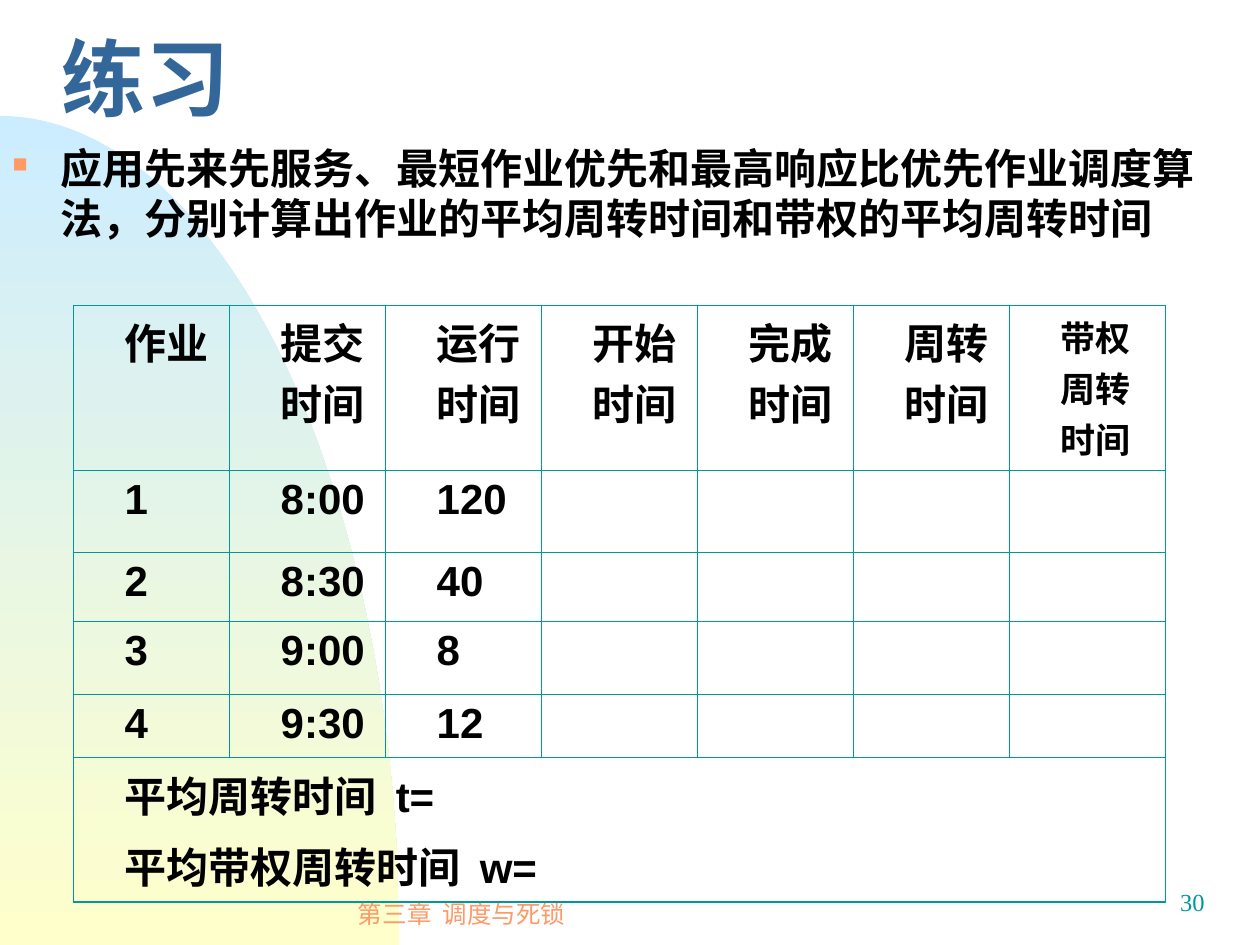
import math

from lxml import etree
from pptx import Presentation
from pptx import util as u
from pptx.dml.color import RGBColor
from pptx.enum import text
from pptx.oxml import ns

COLORS = {"sky": "CCECFF", "cream": "FFFFCC", "title": "336699",
          "accent": "FF9966", "teal": "009999", "ink": "000000"}
WIDTH, HEIGHT = u.Inches(10), u.Inches(7.5)
HEADERS = ["作业", "提交时间", "运行时间", "开始时间", "完成时间", "周转时间", "带权周转时间"]
JOBS = [["1", "8:00", "120"], ["2", "8:30", "40"], ["3", "9:00", "8"], ["4", "9:30", "12"]]
AVERAGES = ["平均周转时间  t=", "平均带权周转时间  w="]
ROW_HEIGHTS = [1.31, 0.65, 0.55, 0.58, 0.5, 1.15]
THIN, THICK = 0.45, 1.08


def rgb(name):
    """Return the named palette colour."""
    return RGBColor.from_string(COLORS[name])


def inches(box):
    """Convert a box of left, top, width and height to lengths."""
    return [u.Inches(value) for value in box]


def set_font(para, size, color, name="Arial", bold=False):
    """Set the font of a whole paragraph."""
    font = para.font
    font.size, font.name, font.bold = u.Pt(size), name, bold
    font.color.rgb = rgb(color)


def add_text(page, box, words, anchor=text.MSO_ANCHOR.TOP, align=text.PP_ALIGN.LEFT, wrap=True):
    """Add a text box with one paragraph and return the paragraph."""
    frame = page.shapes.add_textbox(*inches(box)).text_frame
    frame.word_wrap, frame.vertical_anchor = wrap, anchor
    para = frame.paragraphs[0]
    para.text, para.alignment = words, align
    return para


def add_backdrop(page, box, steps=90):
    """Draw a quarter ellipse with a vertical gradient in the box."""
    left, top, width, height = inches(box)
    angles = [math.pi / 2 * step / steps for step in range(steps + 1)]
    arc = [(left + width * math.sin(a), top + height * (1 - math.cos(a))) for a in angles]
    builder = page.shapes.build_freeform(left, top + height)
    builder.add_line_segments(arc, close=True)
    quarter = builder.convert_to_shape()
    quarter.shadow.inherit = False
    quarter.line.fill.background()
    quarter.fill.gradient()
    quarter.fill.gradient_angle = 270
    for stop, position, color in zip(quarter.fill.gradient_stops, (0, 1), ("sky", "cream")):
        stop.position, stop.color.rgb = position, rgb(color)


def add_title(page, box):
    """Place the slide title."""
    para = add_text(page, box, "练习", text.MSO_ANCHOR.MIDDLE)
    para.line_spacing = 0.7
    set_font(para, 48, "title", "Arial Narrow", True)


def add_task(page, box):
    """Place the bulleted exercise statement."""
    para = add_text(page, box, "应用先来先服务、最短作业优先和最高响应比优先作业调度算法，"
                               "分别计算出作业的平均周转时间和带权的平均周转时间")
    props = para._p.get_or_add_pPr()
    indent = u.Inches(0.38)
    props.set("marL", str(indent))
    props.set("indent", str(-indent))
    color = etree.SubElement(props, ns.qn("a:buClr"))
    etree.SubElement(color, ns.qn("a:srgbClr"), val=COLORS["accent"])
    etree.SubElement(props, ns.qn("a:buSzPct"), val="50000")
    etree.SubElement(props, ns.qn("a:buChar"), char="■")
    set_font(para, 24, "ink", bold=True)


def add_footer(page, box, number_box):
    """Place the chapter name and the page number."""
    chapter = add_text(page, box, "第三章  调度与死锁", text.MSO_ANCHOR.MIDDLE,
                       text.PP_ALIGN.CENTER, False)
    set_font(chapter, 14, "accent")
    number = add_text(page, number_box, "30", align=text.PP_ALIGN.RIGHT)
    set_font(number, 14, "teal", "Times New Roman")


def set_borders(cell, bottom):
    """Draw thin borders around a cell, with the given bottom width."""
    props = cell._tc.get_or_add_tcPr()
    for side, width in zip(("lnL", "lnR", "lnT", "lnB"), (THIN, THIN, THIN, bottom)):
        line = etree.SubElement(props, ns.qn(f"a:{side}"), w=str(u.Pt(width)))
        fill = etree.SubElement(line, ns.qn("a:solidFill"))
        etree.SubElement(fill, ns.qn("a:srgbClr"), val=COLORS["teal"])


def fill_cell(cell, lines, size=24):
    """Write indented bold lines into a cell."""
    cell.text = "\n".join(lines)
    for para in cell.text_frame.paragraphs:
        para._p.get_or_add_pPr().set("marL", str(u.Inches(0.31)))
        para.space_before = u.Pt(size / 4)
        set_font(para, size, "ink", bold=True)


def add_schedule(page, box):
    """Place the job table with its merged row of averages."""
    rows, cols = len(ROW_HEIGHTS), len(HEADERS)
    table = page.shapes.add_table(rows, cols, *inches(box)).table
    table.first_row = table.horz_banding = False
    for row, height in zip(table.rows, ROW_HEIGHTS):
        row.height = u.Inches(height)
    for r in range(rows):
        for c in range(cols):
            cell = table.cell(r, c)
            set_borders(cell, THICK if r == rows - 1 else THIN)
            cell.fill.background()
    last = table.cell(rows - 1, 0)
    last.merge(table.cell(rows - 1, cols - 1))
    fill_cell(last, AVERAGES)
    for r, values in enumerate([HEADERS] + JOBS):
        for c, value in enumerate(values):
            fill_cell(table.cell(r, c), [value], 20 if c == cols - 1 else 24)


def main():
    """Build the exercise slide."""
    deck = Presentation()
    deck.slide_width, deck.slide_height = WIDTH, HEIGHT
    page = deck.slides.add_slide(deck.slide_layouts[6])
    add_backdrop(page, (0, 0.92, 3.17, 6.58))
    add_footer(page, (2.08, 7, 3.17, 0.5), (7.58, 6.99, 2.08, 0.5))
    add_title(page, (0.39, 0.17, 9.44, 1.08))
    add_task(page, (0, 1.08, 9.83, 1))
    add_schedule(page, (0.58, 2.42, 8.67, sum(ROW_HEIGHTS)))
    deck.save("out.pptx")


if __name__ == "__main__":
    main()
